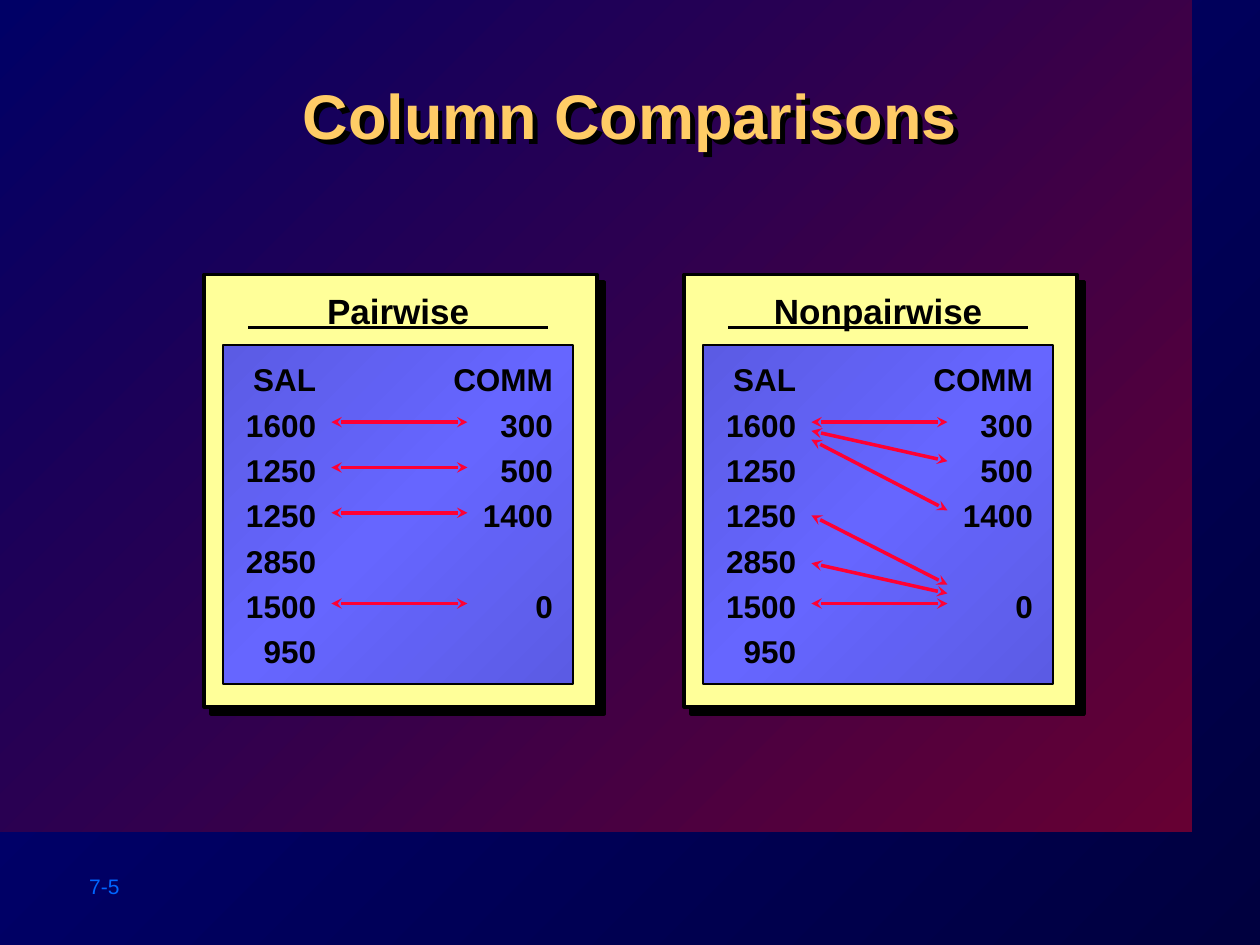
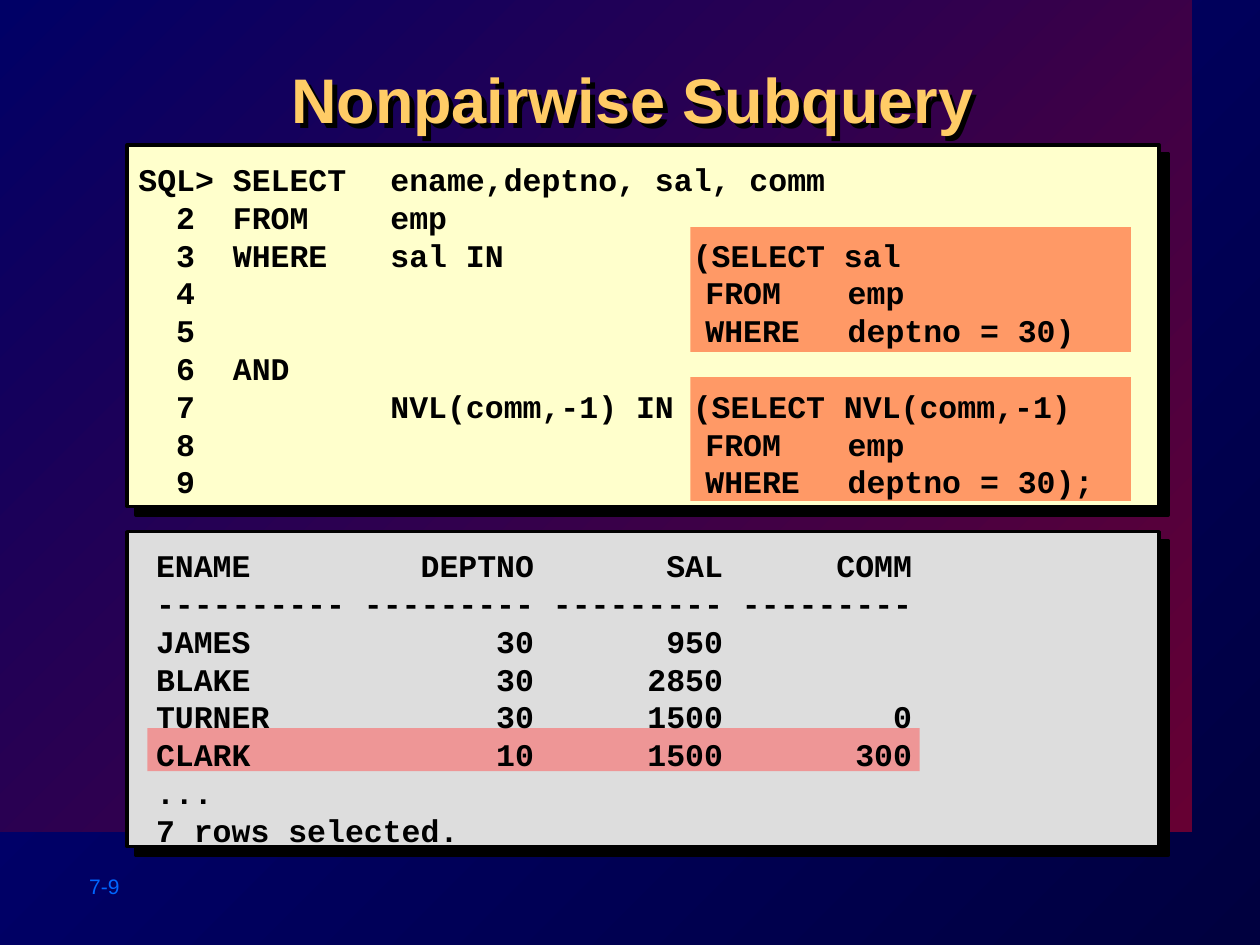
from lxml import etree
from pptx import Presentation
from pptx.dml.color import RGBColor
from pptx.enum.shapes import MSO_CONNECTOR, MSO_SHAPE
from pptx.enum.text import MSO_ANCHOR, PP_ALIGN
from pptx.oxml.ns import qn
from pptx.util import Inches, Pt

RECTANGLE = MSO_SHAPE.RECTANGLE
STRAIGHT = MSO_CONNECTOR.STRAIGHT
TOP, MIDDLE = MSO_ANCHOR.TOP, MSO_ANCHOR.MIDDLE
LEFT, CENTER = PP_ALIGN.LEFT, PP_ALIGN.CENTER

COLORS = {
    "black": "000000", "title": "FFCC66", "footer": "0066FF",
    "card": "FFFF99", "code": "FFFFCC", "output": "DDDDDD",
    "arrow": "FF0033", "match": "FF5050",
}
# Each gradient is a list of stops (percent, colour) and a clockwise angle.
GRADIENTS = {
    "page": ([(0, "00003F"), (100, "000080")], 225),
    "stage": ([(0, "660033"), (100, "000066")], 225),
    "panel": ([(0, "5B5BE4"), (50, "6666FF"), (100, "5B5BE4")], 225),
    "subquery": ([(0, "FF9966"), (100, "FE9865")], 90),
}
FORMATS = {
    "title": {"name": "Arial", "size": Pt(36), "bold": True},
    "heading": {"name": "Arial", "size": Pt(20), "bold": True},
    "values": {"name": "Arial", "size": Pt(18), "bold": True},
    "code": {"name": "Courier New", "size": Pt(18), "bold": True},
    "footer": {"name": "Arial", "size": Pt(12), "bold": False},
}

CARD_LEFT, CARD_STEP = 1.62, 3.81
ROW_TOP, ROW_STEP = 3.35, 0.36
COLUMN_ROWS = [
    "\tSAL\tCOMM", "\t1600\t300", "\t1250\t500", "\t1250\t1400",
    "\t2850", "\t1500\t0", "\t950",
]
PAIRED_ROWS = [0, 1, 2, 4]
CARDS = [
    ("Pairwise", [(ROW_TOP + ROW_STEP * row,) * 2 for row in PAIRED_ROWS]),
    ("Nonpairwise", [(3.35, 3.35), (3.42, 3.66), (3.49, 4.05),
                     (4.09, 4.64), (4.47, 4.71), (4.79, 4.79)]),
]

QUERY = [
    "SQL> SELECT\tename,deptno, sal, comm",
    "  2\tFROM\temp",
    "  3\tWHERE\tsal IN\t(SELECT sal",
    "  4\t\t\t\tFROM\temp",
    "  5\t\t\t\tWHERE\tdeptno = 30)",
    "  6\tAND",
    "  7\t\tNVL(comm,-1) IN (SELECT NVL(comm,-1)",
    "  8\t\t\t\tFROM\temp",
    "  9\t\t\t\tWHERE\tdeptno = 30);",
]
RESULT = [
    "ENAME\tDEPTNO\tSAL\tCOMM",
    "---------- --------- --------- ---------",
    "JAMES\t30\t950",
    "BLAKE\t30\t2850",
    "TURNER\t30\t1500\t0",
    "CLARK\t10\t1500\t300",
    "...",
    "7 rows selected.",
]


def add_node(parent, tag, **attributes):
    node = etree.SubElement(parent, qn(tag))
    for key, value in attributes.items():
        node.set(key, str(value))
    return node


class Pages:
    """Holds the deck, its style and the page being filled."""

    def __init__(self):
        self.deck = Presentation()
        self.deck.slide_width = Inches(10)
        self.deck.slide_height = Inches(7.5)
        self.page = None

    def new_page(self, title, title_left, title_top, number):
        self.page = self.deck.slides.add_slide(self.deck.slide_layouts[6])
        self.gradient(self.page.background.fill, self.page.element, "page")
        self.rectangle(0, 0, 9.46, 6.6, "stage")
        self.text([number], 0.61, 6.88, 1.11, 0.3, "footer", color="footer")
        box = self.text([title], title_left, title_top, 7.98, 0.96, "title",
                        color="title", align=CENTER, spacing=Pt(43.2))
        self.cast_shadow(box, 4)

    def gradient(self, fill, element, name):
        stops, angle = GRADIENTS[name]
        fill.gradient()
        fill.gradient_angle = 360 - angle
        stop_list = element.find(".//" + qn("a:gsLst"))
        for stop in list(stop_list):
            stop_list.remove(stop)
        for percent, color in stops:
            stop = add_node(stop_list, "a:gs", pos=percent * 1000)
            add_node(stop, "a:srgbClr", val=color)

    def cast_shadow(self, shape, distance):
        """Add a hard black shadow to the lower right, distance in points."""
        shape.shadow.inherit = False
        effects = shape.element.spPr.find(qn("a:effectLst"))
        shadow = add_node(effects, "a:outerShdw", blurRad=0, dist=Pt(distance),
                          dir=45 * 60000, algn="ctr", rotWithShape=0)
        add_node(shadow, "a:srgbClr", val=COLORS["black"])

    def rectangle(self, left, top, width, height, paint,
                  line=0, shadow=0, opacity=100):
        shape = self.page.shapes.add_shape(
            RECTANGLE, Inches(left), Inches(top), Inches(width), Inches(height))
        shape.shadow.inherit = False
        if paint in GRADIENTS:
            self.gradient(shape.fill, shape.element, paint)
        else:
            shape.fill.solid()
            shape.fill.fore_color.rgb = RGBColor.from_string(COLORS[paint])
        if opacity < 100:
            color = shape.element.spPr.find(".//" + qn("a:srgbClr"))
            add_node(color, "a:alpha", val=opacity * 1000)
        if line:
            shape.line.color.rgb = RGBColor.from_string(COLORS["black"])
            shape.line.width = Pt(line)
        else:
            shape.line.fill.background()
        if shadow:
            self.cast_shadow(shape, shadow)

    def text(self, lines, left, top, width, height, style, color="black",
             align=LEFT, anchor=TOP, spacing=None, tabs=(), tab_align="l"):
        box = self.page.shapes.add_textbox(
            Inches(left), Inches(top), Inches(width), Inches(height))
        frame = box.text_frame
        frame.word_wrap = True
        frame.vertical_anchor = anchor
        for index, line in enumerate(lines):
            para = frame.add_paragraph() if index else frame.paragraphs[0]
            para.alignment = align
            para.line_spacing = spacing
            if tabs:
                tab_list = add_node(para._p.get_or_add_pPr(), "a:tabLst")
                for position in tabs:
                    add_node(tab_list, "a:tab", pos=Inches(position), algn=tab_align)
            span = para.add_run()
            span.text = line
            for key, value in FORMATS[style].items():
                setattr(span.font, key, value)
            span.font.color.rgb = RGBColor.from_string(COLORS[color])
        return box

    def line(self, left, top, right, bottom, color, arrows=False):
        connector = self.page.shapes.add_connector(
            STRAIGHT, Inches(left), Inches(top), Inches(right), Inches(bottom))
        connector.line.color.rgb = RGBColor.from_string(COLORS[color])
        connector.line.width = Pt(2)
        properties = connector.element.spPr
        if arrows:
            for end in ("a:headEnd", "a:tailEnd"):
                add_node(properties.find(qn("a:ln")), end, type="stealth")
        add_node(properties, "a:effectLst")

    def comparison_card(self, left, heading, arrows):
        self.rectangle(left, 2.18, 3.12, 3.43, "card", line=2, shadow=5.7)
        inner = left + 0.15
        self.rectangle(inner, 2.74, 2.78, 2.69, "panel", line=1)
        self.text([heading], inner, 2.18, 2.78, 0.5, "heading",
                  align=CENTER, spacing=Pt(28.8))
        self.line(left + 0.35, 2.6, left + 2.73, 2.6, "black")
        self.text(COLUMN_ROWS, inner, 2.75, 2.78, 2.62, "values",
                  spacing=Pt(25.9), tabs=(0.64, 2.52), tab_align="r")
        for start, end in arrows:
            self.line(left + 1.01, start, left + 2.09, end, "arrow", arrows=True)

    def listing(self, lines, left, top, height, tabs, tab_align="l"):
        self.text(lines, left, top, 8.4, height, "code", anchor=MIDDLE,
                  spacing=Pt(21.6), tabs=tabs, tab_align=tab_align)


def main():
    pages = Pages()

    pages.new_page("Column Comparisons", 1.01, 0.56, "7-5")
    for index, (heading, arrows) in enumerate(CARDS):
        pages.comparison_card(CARD_LEFT + CARD_STEP * index, heading, arrows)

    pages.new_page("Nonpairwise Subquery", 1.03, 0.43, "7-9")
    pages.rectangle(1.01, 1.15, 8.19, 2.87, "code", line=2, shadow=7.1)
    for top in (1.8, 2.99):
        pages.rectangle(5.48, top, 3.5, 0.99, "subquery")
    pages.listing(QUERY, 1, 1.17, 2.9, (0.75, 2, 4.4, 4.5, 5.63))
    pages.rectangle(1.01, 4.22, 8.19, 2.5, "output", line=2, shadow=7.1)
    pages.rectangle(1.17, 5.78, 6.13, 0.34, "match", opacity=50)
    pages.listing(RESULT, 1.14, 4.27, 2.53, (3, 4.5, 6), tab_align="r")

    pages.deck.save("out.pptx")


if __name__ == "__main__":
    main()
